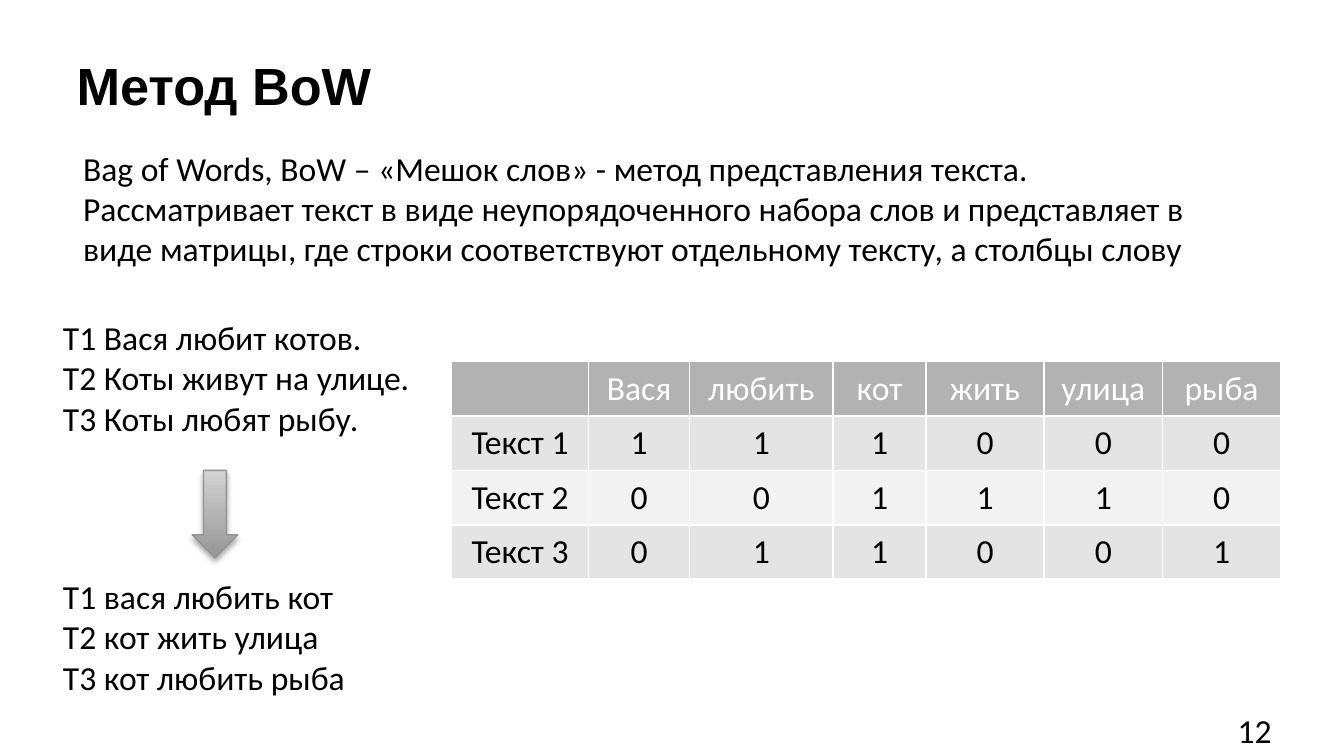
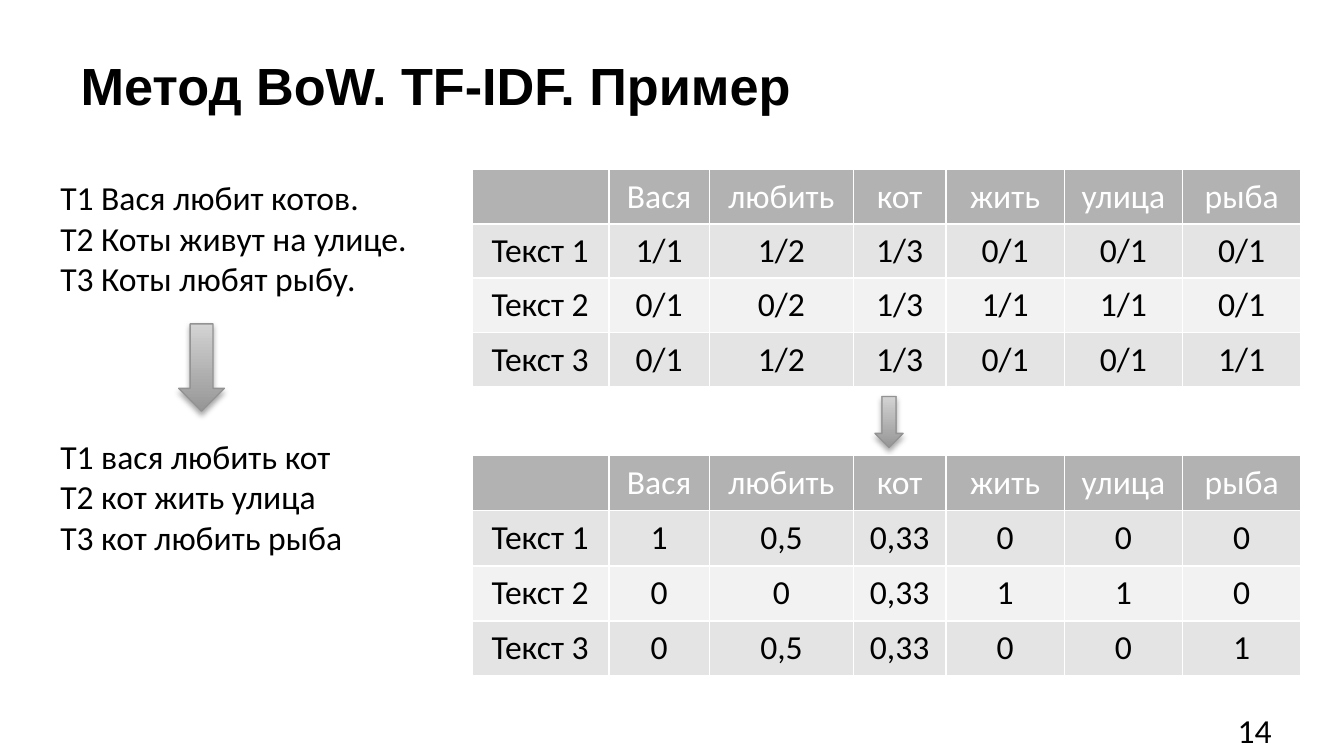
import lxml.etree
import pptx
import pptx.dml.color
import pptx.enum.shapes
import pptx.enum.text
import pptx.oxml.ns
import pptx.util

WIDTH = pptx.util.Inches(10)
HEIGHT = WIDTH * 9 // 16
UNIT = WIDTH / 100

BLACK, WHITE = "000000", "FFFFFF"
HEADER, BAND_DARK, BAND_LIGHT = "B2B2B2", "E4E4E4", "F2F2F2"
ARROW_DARK, ARROW_LIGHT, ARROW_LINE = "969696", "D3D3D3", "939393"

LEFT = pptx.enum.text.PP_ALIGN.LEFT
CENTER = pptx.enum.text.PP_ALIGN.CENTER
MIDDLE = pptx.enum.text.MSO_ANCHOR.MIDDLE

WORDS = ["Вася", "любить", "кот", "жить", "улица", "рыба"]
COLUMNS = [10.2, 7.5, 10.7, 6.9, 8.8, 8.8, 8.8]
SENTENCES = "Т1 Вася любит котов.\nТ2 Коты живут на улице.\nТ3 Коты любят рыбу."
LEMMAS = "Т1 вася любить кот\nТ2 кот жить улица\nТ3 кот любить рыба"
DEFINITION = (
    "Bag of Words, BoW – «Мешок слов» - метод представления текста. "
    "Рассматривает текст в виде неупорядоченного набора слов и представляет "
    "в виде матрицы, где строки соответствуют отдельному тексту, а столбцы слову"
)
COUNTS = ["1 1 1 0 0 0", "0 0 1 1 1 0", "0 1 1 0 0 1"]
RATIOS = ["1/1 1/2 1/3 0/1 0/1 0/1", "0/1 0/2 1/3 1/1 1/1 0/1", "0/1 1/2 1/3 0/1 0/1 1/1"]
WEIGHTS = ["1 0,5 0,33 0 0 0", "0 0 0,33 1 1 0", "0 0,5 0,33 0 0 1"]


def rgb(value):
    """Turn a hex string into a colour."""
    return pptx.dml.color.RGBColor.from_string(value)


def grid(*units):
    """Convert grid columns and rows to slide lengths."""
    return [round(u * UNIT) for u in units]


def add_xml(parent, tag, **attrs):
    """Append a drawing element to its parent."""
    return lxml.etree.SubElement(parent, pptx.oxml.ns.qn(tag), attrs)


def style_text(tf, size=18, font="Calibri", color=BLACK, bold=False, align=LEFT):
    """Format every paragraph of a text frame."""
    for p in tf.paragraphs:
        p.alignment = align
        for f in [p.font] + [r.font for r in p.runs]:
            f.size, f.name, f.bold = pptx.util.Pt(size), font, bold
            f.color.rgb = rgb(color)


def add_text(s, box, text):
    """Place a wrapped body text box."""
    tf = s.shapes.add_textbox(*grid(*box)).text_frame
    tf.word_wrap = True
    tf.text = text
    style_text(tf)
    tf.auto_size = pptx.enum.text.MSO_AUTO_SIZE.SHAPE_TO_FIT_TEXT


def add_frame(prs, title, left, number):
    """Create a slide with its title and page number."""
    s = prs.slides.add_slide(prs.slide_layouts[5])
    sp = s.shapes.title
    sp.left, sp.top, sp.width, sp.height = grid(left, 3.4, 74.6, 5.8)
    tf = sp.text_frame
    tf.text = title
    tf.vertical_anchor = MIDDLE
    tf.auto_size = pptx.enum.text.MSO_AUTO_SIZE.NONE
    style_text(tf, 28, "Arial", bold=True)
    add_text(s, (91.1, 52.3, 8.9, 4), number)
    return s


def add_arrow(s, box):
    """Draw a shaded arrow pointing down."""
    sp = s.shapes.add_shape(pptx.enum.shapes.MSO_SHAPE.DOWN_ARROW, *grid(*box))
    sp.fill.gradient()
    sp.fill.gradient_angle = 90
    for stop, color, place in zip(sp.fill.gradient_stops, (ARROW_DARK, ARROW_LIGHT), (0, 1)):
        stop.color.rgb = rgb(color)
        stop.position = place
    sp.line.color.rgb = rgb(ARROW_LINE)
    sp.line.width = pptx.util.Pt(0.75)
    sp.shadow.inherit = False
    effects = sp._element.spPr.find(pptx.oxml.ns.qn("a:effectLst"))
    shadow = add_xml(effects, "a:outerShdw", blurRad=str(pptx.util.Pt(3.1)),
                     dist=str(pptx.util.Pt(1.8)), dir="5400000", rotWithShape="0")
    add_xml(add_xml(shadow, "a:srgbClr", val=BLACK), "a:alpha", val="35000")


def add_samples(s, left, top, arrow_left, arrow_top):
    """Show the sentences above their lemmas, joined by an arrow."""
    add_text(s, (left, top, 30.8, 10.1), SENTENCES)
    add_text(s, (left, top + 19.25, 30.8, 10.1), LEMMAS)
    add_arrow(s, (left + arrow_left, top + arrow_top, 3.4, 6.5))


def format_cell(cell, text, row):
    """Fill, border and write one table cell."""
    header = row == 0
    tcPr = cell._tc.get_or_add_tcPr()
    for side in "LRTB":
        ln = add_xml(tcPr, "a:ln" + side, w=str(pptx.util.Pt(1)))
        add_xml(add_xml(ln, "a:solidFill"), "a:srgbClr", val=WHITE)
    cell.fill.solid()
    cell.fill.fore_color.rgb = rgb(HEADER if header else (BAND_LIGHT, BAND_DARK)[row % 2])
    cell.vertical_anchor = MIDDLE
    cell.text_frame.text = text
    style_text(cell.text_frame, color=WHITE if header else BLACK, align=CENTER)


def add_matrix(s, left, top, height, values):
    """Build the table of texts against words."""
    rows = [[""] + WORDS]
    rows += [[f"Текст {i}"] + line.split() for i, line in enumerate(values, 1)]
    box = grid(left, top, sum(COLUMNS), height)
    table = s.shapes.add_table(len(rows), len(COLUMNS), *box).table
    for column, width in zip(table.columns, COLUMNS):
        column.width = grid(width)[0]
    for i, row in enumerate(rows):
        for j, text in enumerate(row):
            format_cell(table.cell(i, j), text, i)


def build_bow(prs):
    """Build the slide that defines the method."""
    s = add_frame(prs, "Метод BoW", 4.7, "12")
    add_text(s, (5.2, 10.5, 86.7, 10.1), DEFINITION)
    add_samples(s, 3.7, 23.1, 10.6, 11.9)
    add_matrix(s, 33.6, 26.9, 16.2, COUNTS)


def build_tfidf(prs):
    """Build the slide with the weighting example."""
    s = add_frame(prs, "Метод BoW. TF-IDF. Пример", 5, "14")
    add_samples(s, 3.5, 12.7, 9.8, 11.4)
    add_matrix(s, 35.1, 12.6, 16.2, RATIOS)
    add_arrow(s, (65.1, 29.5, 2.1, 3.8))
    add_matrix(s, 35.1, 33.9, 16.4, WEIGHTS)


def main():
    """Build and save the presentation."""
    prs = pptx.Presentation()
    prs.slide_width, prs.slide_height = WIDTH, HEIGHT
    build_bow(prs)
    build_tfidf(prs)
    prs.save("out.pptx")


if __name__ == "__main__":
    main()
